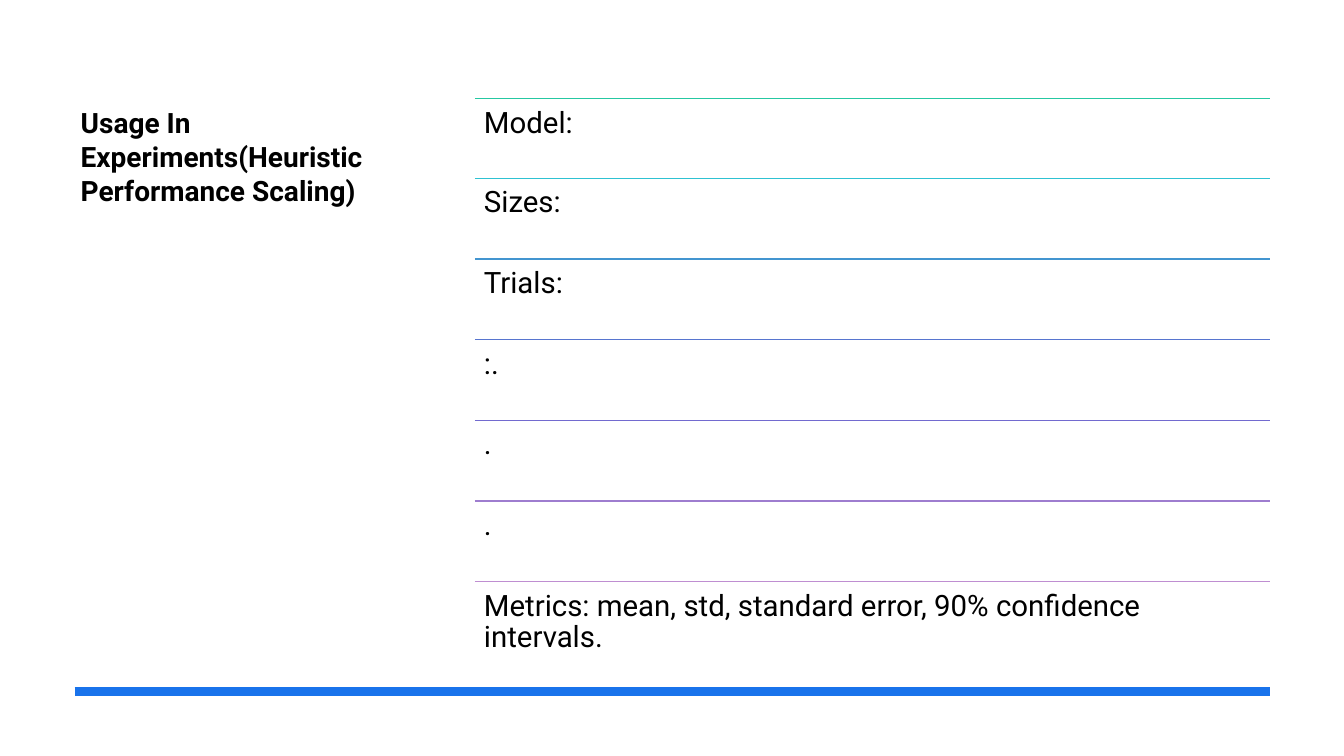
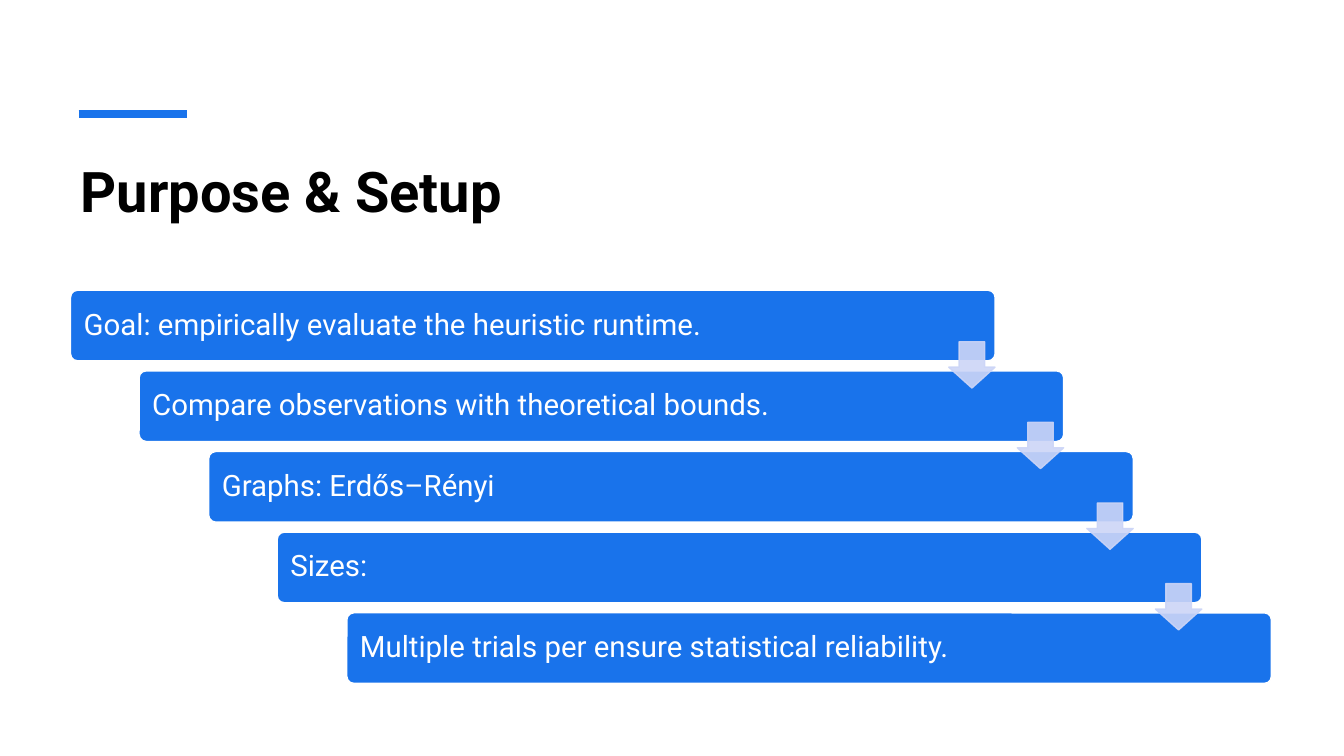
from dataclasses import dataclass

from lxml.etree import SubElement
from pptx import Presentation
from pptx.dml.color import RGBColor
from pptx.enum.shapes import MSO_CONNECTOR, MSO_SHAPE
from pptx.enum.text import MSO_ANCHOR, MSO_AUTO_SIZE, PP_ALIGN
from pptx.oxml.ns import qn
from pptx.util import Pt

PX = 9144


@dataclass(frozen=True)
class Theme:
    font: str = "Roboto"
    ink: str = "000000"
    paper: str = "FFFFFF"
    accent: str = "1973EB"
    arrow: str = "CCD5F7"
    rules: tuple = ("25C8A2", "2EC2D2", "4395D0", "5775CF", "726ACF", "9E7DCF", "BF8ED1")
    side_title: int = 20
    main_title: int = 40
    body: int = 21
    band: int = 6
    hairline: int = 1


theme = Theme()


def write_text(box, text, size, color, bold=False, anchor=MSO_ANCHOR.TOP, inset=(9, 9), spacing=0.9):
    frame = box.text_frame
    across, down = (value * PX for value in inset)
    frame_format = {
        "word_wrap": True, "auto_size": MSO_AUTO_SIZE.NONE, "vertical_anchor": anchor,
        "margin_left": across, "margin_right": across, "margin_top": down, "margin_bottom": down,
    }
    para = frame.paragraphs[0]
    para_format = {"alignment": PP_ALIGN.LEFT, "line_spacing": spacing}
    span = para.add_run()
    span.text = text
    font_format = {"name": theme.font, "size": Pt(size), "bold": bold}
    for target, values in ((frame, frame_format), (para, para_format), (span.font, font_format)):
        for name, value in values.items():
            setattr(target, name, value)
    span.font.color.rgb = RGBColor.from_string(color)


def draw_rule(page, left, right, top, color, width):
    rule = page.shapes.add_connector(
        MSO_CONNECTOR.STRAIGHT, left * PX, top * PX, right * PX, top * PX)
    rule.line.color.rgb = RGBColor.from_string(color)
    rule.line.width = Pt(width)
    SubElement(rule._element.spPr, qn("a:effectLst"))


deck = Presentation()
deck.slide_width, deck.slide_height = 1333 * PX, 750 * PX

pages = []
for title, size, place, band in (
    ("Usage In Experiments(Heuristic Performance Scaling)", theme.side_title,
     (70, 100, 328, 455), (74, 1260, 686)),
    ("Purpose & Setup", theme.main_title, (70, 150, 1191, 120), (78, 185, 113)),
):
    page = deck.slides.add_slide(deck.slide_layouts[5])
    heading = page.shapes.title
    for name, value in zip(("left", "top", "width", "height"), place):
        setattr(heading, name, value * PX)
    write_text(heading, title, size, theme.ink, bold=True, inset=(10, 5), spacing=1.0)
    draw_rule(page, *band, theme.accent, theme.band)
    pages.append(page)

usage_page, setup_page = pages

settings = ("Model:", "Sizes:", "Trials:", ":.", ".", ".",
            "Metrics: mean, std, standard error, 90% confidence intervals.")
for index, (setting, color) in enumerate(zip(settings, theme.rules)):
    top = 98 + 479 * index // 6
    draw_rule(usage_page, 471, 1260, top, color, theme.hairline)
    box = usage_page.shapes.add_textbox(471 * PX, top * PX, 789 * PX, 80 * PX)
    write_text(box, setting, theme.body, theme.ink)

steps = ("Goal: empirically evaluate the heuristic runtime.",
         "Compare observations with theoretical bounds.",
         "Graphs: Erdős–Rényi",
         "Sizes:",
         "Multiple trials per ensure statistical reliability.")
offsets = [(137 * index // 2, 80 * index) for index in range(len(steps))]
bar_style = (MSO_SHAPE.ROUNDED_RECTANGLE, (70, 288, 917, 70), (0.1,),
             theme.accent, theme.paper, 100)
arrow_style = (MSO_SHAPE.DOWN_ARROW, (941, 339, 46, 46), (0.55, 0.45),
               theme.arrow, theme.arrow, 90)
bars = []
for style, places in ((bar_style, offsets), (arrow_style, offsets[:-1])):
    preset, (left, top, width, height), adjustments, fill, outline, opacity = style
    for across, down in places:
        shape = setup_page.shapes.add_shape(
            preset, (left + across) * PX, (top + down) * PX, width * PX, height * PX)
        shape.shadow.inherit = False
        for position, value in enumerate(adjustments):
            shape.adjustments[position] = value
        shape.fill.solid()
        shape.fill.fore_color.rgb = RGBColor.from_string(fill)
        shape.line.color.rgb = RGBColor.from_string(outline)
        shape.line.width = Pt(theme.hairline)
        if opacity < 100:
            for color in shape._element.spPr.iter(qn("a:srgbClr")):
                SubElement(color, qn("a:alpha"), val=str(opacity * 1000))
        if style is bar_style:
            bars.append(shape)

for bar, step in zip(bars, steps):
    write_text(bar, step, theme.body, theme.paper, anchor=MSO_ANCHOR.MIDDLE, inset=(11, 9))

deck.save("out.pptx")
